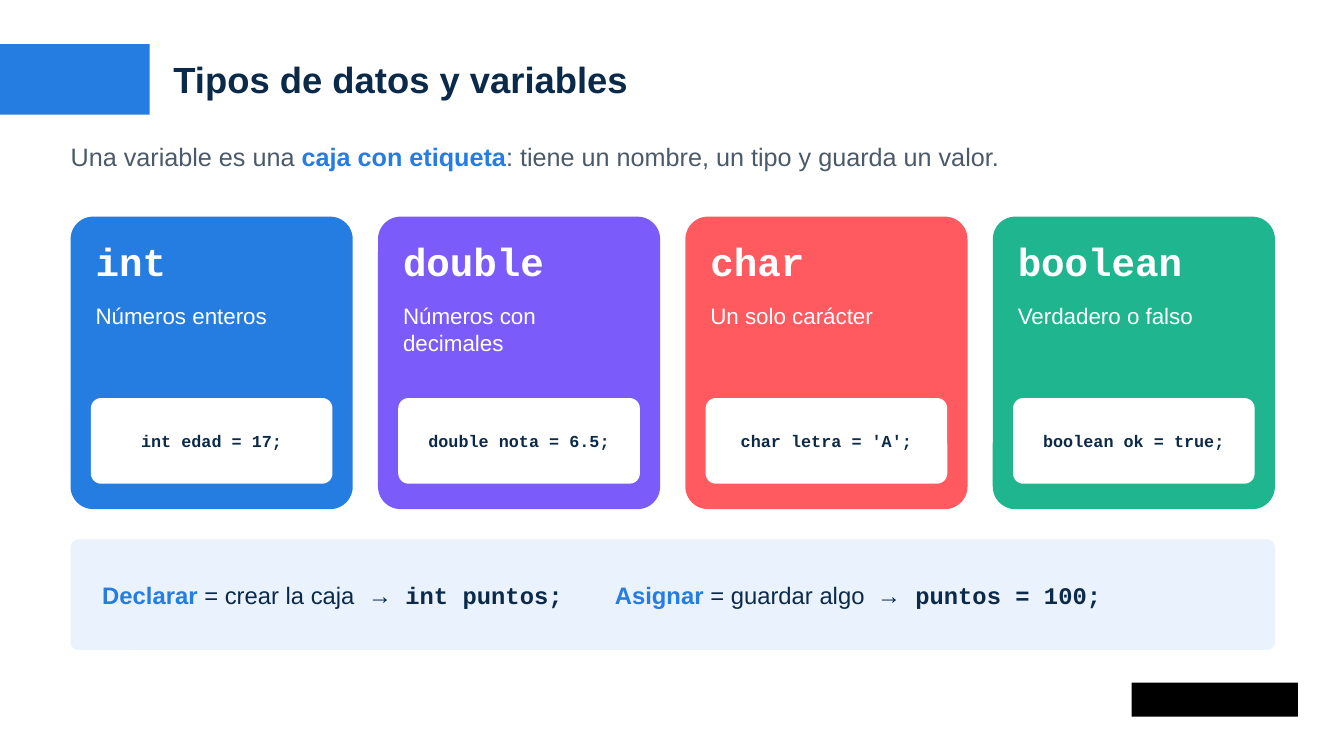
from pptx import Presentation
from pptx import util as u
from pptx.dml.color import RGBColor
from pptx.enum import shapes, text
from pptx.oxml.ns import qn
from lxml import etree

BLUE = RGBColor(0x25, 0x7C, 0xE1)
VIOLET = RGBColor(0x7B, 0x5C, 0xFA)
CORAL = RGBColor(0xFF, 0x5A, 0x5F)
GREEN = RGBColor(0x1F, 0xB5, 0x8F)
NAVY = RGBColor(0x0B, 0x2A, 0x4A)
SLATE = RGBColor(0x4A, 0x5A, 0x6A)
PALE = RGBColor(0xEA, 0xF2, 0xFD)
WHITE = RGBColor(0xFF, 0xFF, 0xFF)
BLACK = RGBColor(0, 0, 0)

SANS, MONO = "Arial", "Courier New"
TOP, MIDDLE = text.MSO_ANCHOR.TOP, text.MSO_ANCHOR.MIDDLE
LEFT, CENTER = text.PP_ALIGN.LEFT, text.PP_ALIGN.CENTER

# Type name, description, sample code, card colour
DATA_TYPES = [
    ("int", "Números enteros", "int edad = 17;", BLUE),
    ("double", "Números con decimales", "double nota = 6.5;", VIOLET),
    ("char", "Un solo carácter", "char letra = 'A';", CORAL),
    ("boolean", "Verdadero o falso", "boolean ok = true;", GREEN),
]


def lengths(box):
    """Turn a (left, top, width, height) box in centimetres into lengths."""
    return [u.Cm(value) for value in box]


def add_block(page, box, color, radius=None):
    """Add a plain filled rectangle, rounded when a radius ratio is given."""
    kind = shapes.MSO_SHAPE.RECTANGLE
    if radius is not None:
        kind = shapes.MSO_SHAPE.ROUNDED_RECTANGLE
    block = page.shapes.add_shape(kind, *lengths(box))
    if radius is not None:
        block.adjustments[0] = radius
    block.fill.solid()
    block.fill.fore_color.rgb = color
    block.line.fill.background()
    block.shadow.inherit = False
    return block


def set_tabs(para, stops):
    tab_list = etree.SubElement(para._p.get_or_add_pPr(), qn("a:tabLst"))
    for stop in stops:
        etree.SubElement(tab_list, qn("a:tab"), pos=str(u.Cm(stop)), algn="l")


def write(shape, runs, size, anchor=TOP, align=LEFT, inset=0, stops=()):
    """Write (words, font, colour, bold) runs as one paragraph."""
    frame = shape.text_frame
    frame.word_wrap = True
    frame.auto_size = text.MSO_AUTO_SIZE.NONE
    frame.vertical_anchor = anchor
    frame.margin_left = frame.margin_right = u.Cm(inset)
    frame.margin_top = frame.margin_bottom = u.Cm(0)
    para = frame.paragraphs[0]
    para.alignment = align
    para.space_before = u.Pt(0)
    para.space_after = u.Pt(4)
    if stops:
        set_tabs(para, stops)
    for words, font, color, bold in runs:
        span = para.add_run()
        span.text = words
        span.font.name = font
        span.font.size = u.Pt(size)
        span.font.bold = bold
        span.font.color.rgb = color


def add_text(page, box, runs, size):
    write(page.shapes.add_textbox(*lengths(box)), runs, size)


def add_header(page, box):
    """Blue tab on the left edge with the title beside it."""
    left, top, width, height = box
    add_block(page, (left, top, 3.77, height), BLUE)
    title = page.shapes.title
    title.left, title.top, title.width, title.height = lengths(
        (left + 4.37, top, width - 4.37, height))
    write(title, [("Tipos de datos y variables", SANS, NAVY, True)], 26, MIDDLE)


def add_intro(page, box):
    add_text(page, box, [
        ("Una variable es una ", SANS, SLATE, False),
        ("caja con etiqueta", SANS, BLUE, True),
        (": tiene un nombre, un tipo y guarda un valor.", SANS, SLATE, False),
    ], 18)


def add_type_card(page, box, name, meaning, code, color):
    left, top, width, height = box
    add_block(page, box, color, 0.08)
    inner = width - 1.27
    add_text(page, (left + 0.63, top + 0.51, inner, 1.52),
             [(name, MONO, WHITE, True)], 28)
    add_text(page, (left + 0.63, top + 2.16, inner, 1.78),
             [(meaning, SANS, WHITE, False)], 16)
    # Code sample panel
    panel = add_block(
        page, (left + 0.51, top + 4.57, width - 1.02, 2.16), WHITE, 0.12)
    write(panel, [(code, MONO, NAVY, True)], 12, MIDDLE, CENTER)


def add_type_cards(page, box):
    """Row of equal cards spread over the width of the box."""
    left, top, width, height = box
    card_width = 7.11
    step = (width - card_width) / (len(DATA_TYPES) - 1)
    for index, data_type in enumerate(DATA_TYPES):
        add_type_card(page, (left + index * step, top, card_width, height), *data_type)


def add_summary(page, box):
    """Band that contrasts declaring with assigning."""
    band = add_block(page, box, PALE, 0.07)
    write(band, [
        ("Declarar", SANS, BLUE, True),
        (" = crear la caja\t→\t", SANS, NAVY, False),
        ("int puntos;", MONO, NAVY, True),
        ("\tAsignar", SANS, BLUE, True),
        (" = guardar algo\t→\t", SANS, NAVY, False),
        ("puntos = 100;", MONO, NAVY, True),
    ], 17, MIDDLE, inset=0.74, stops=[6.7, 7.64, 12.92, 19.53, 20.49])


def main():
    deck = Presentation()
    deck.slide_width, deck.slide_height = u.Cm(33.87), u.Cm(19.05)
    page = deck.slides.add_slide(deck.slide_layouts[5])
    add_header(page, (0, 1.11, 32.31, 1.78))
    add_intro(page, (1.78, 3.56, 30.48, 1.27))
    add_type_cards(page, (1.78, 5.46, 30.35, 7.37))
    add_summary(page, (1.78, 13.59, 30.35, 2.79))
    # Plain mark in the bottom corner
    add_block(page, (28.52, 17.2, 4.19, 0.86), BLACK)
    deck.save("out.pptx")


if __name__ == "__main__":
    main()
